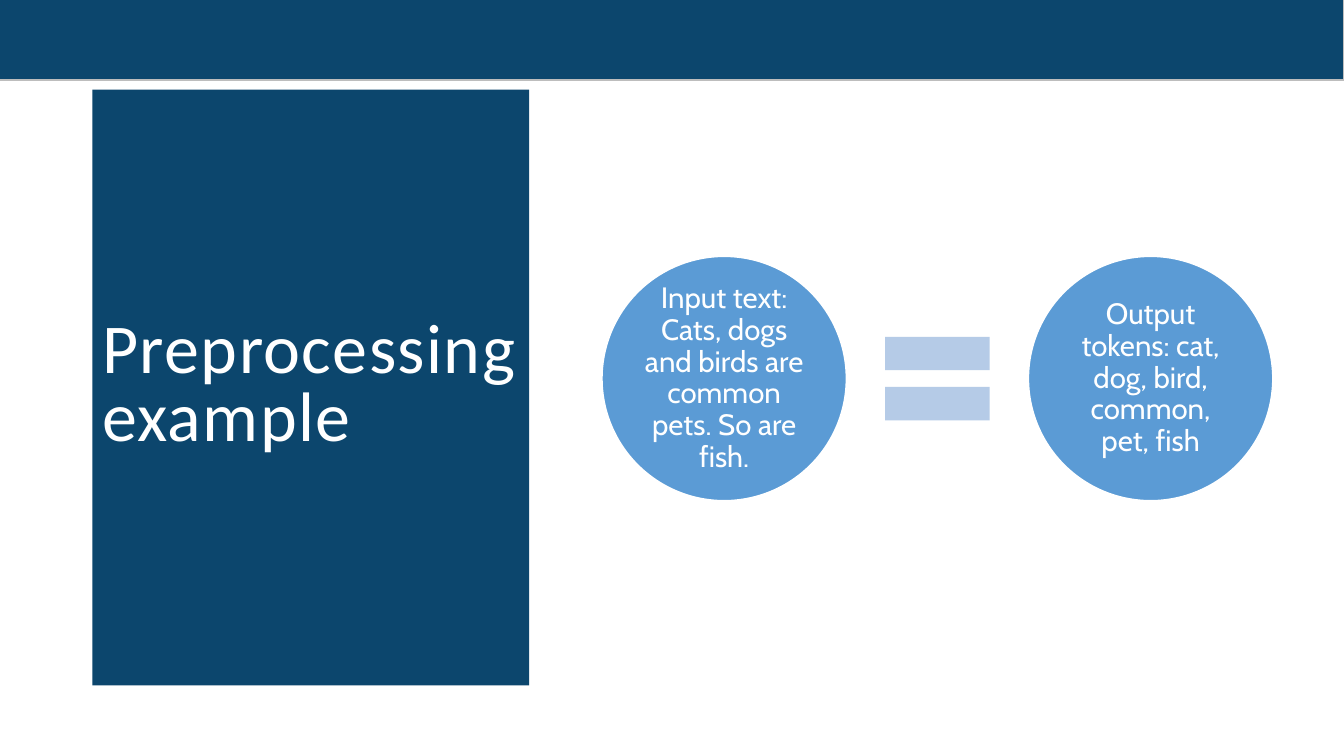
from dataclasses import dataclass

from pptx import Presentation
from pptx.dml.color import RGBColor
from pptx.enum.shapes import MSO_SHAPE
from pptx.enum.text import MSO_ANCHOR, MSO_AUTO_SIZE, PP_ALIGN
from pptx.shapes.autoshape import Shape
from pptx.slide import Slide
from pptx.util import Pt

COLORS = {
    "navy": "0C466D",
    "band_line": "BDBDBD",
    "circle": "5B9BD5",
    "equal": "B5CBE7",
    "white": "FFFFFF",
}
CIRCLE_SIZE = 175
EQUAL_SIZE = 101.5
CENTER_Y = 270.4


@dataclass
class Circle:
    left: float
    text: str


CIRCLES = [
    Circle(429.8, "Input text: Cats, dogs and birds are common pets. So are fish."),
    Circle(734.4, "Output tokens: cat, dog, bird, common, pet, fish"),
]


def color(name: str) -> RGBColor:
    return RGBColor.from_string(COLORS[name])


def add_shape(s: Slide, kind: MSO_SHAPE, left: float, top: float, width: float,
              height: float, fill: str, line: str = "", weight: float = 0) -> Shape:
    sp = s.shapes.add_shape(kind, Pt(left), Pt(top), Pt(width), Pt(height))
    sp.shadow.inherit = False
    sp.fill.solid()
    sp.fill.fore_color.rgb = color(fill)
    if line:
        sp.line.color.rgb = color(line)
        sp.line.width = Pt(weight)
    else:
        sp.line.fill.background()
    return sp


def add_text(sp: Shape, text: str, font: str, size: float, spacing: float,
             align: PP_ALIGN, tracking: float = 0) -> None:
    tf = sp.text_frame
    tf.word_wrap = True
    tf.auto_size = MSO_AUTO_SIZE.NONE
    tf.vertical_anchor = MSO_ANCHOR.MIDDLE
    p = tf.paragraphs[0]
    p.alignment = align
    p.line_spacing = spacing
    r = p.add_run()
    r.text = text
    r.font.name = font
    r.font.size = Pt(size)
    r.font.color.rgb = color("white")
    if tracking:
        r.font._element.set("spc", str(round(tracking * 100)))


def add_title(s: Slide, text: str) -> None:
    sp = s.shapes.title
    sp.left, sp.top, sp.width, sp.height = Pt(66), Pt(64), Pt(312), Pt(425.5)
    sp.fill.solid()
    sp.fill.fore_color.rgb = color("navy")
    add_text(sp, text, "Calibri", 50, 0.8, PP_ALIGN.LEFT, 1)


def add_circle(s: Slide, circle: Circle) -> None:
    sp = add_shape(s, MSO_SHAPE.OVAL, circle.left, CENTER_Y - CIRCLE_SIZE / 2,
                   CIRCLE_SIZE, CIRCLE_SIZE, "circle", "white", 1.5)
    tf = sp.text_frame
    tf.margin_left = tf.margin_right = tf.margin_top = tf.margin_bottom = Pt(2.1)
    add_text(sp, circle.text, "Cabin", 21, 0.9, PP_ALIGN.CENTER)


def main() -> None:
    prs = Presentation()
    prs.slide_width, prs.slide_height = Pt(960), Pt(540)
    s = prs.slides.add_slide(prs.slide_layouts[5])
    add_shape(s, MSO_SHAPE.RECTANGLE, -9.4, -0.7, 969.4, 58, "navy", "band_line", 1.25)
    add_title(s, "Preprocessing example")
    for circle in CIRCLES:
        add_circle(s, circle)
    middle = (CIRCLES[0].left + CIRCLES[1].left + CIRCLE_SIZE) / 2
    add_shape(s, MSO_SHAPE.MATH_EQUAL, middle - EQUAL_SIZE / 2,
              CENTER_Y - EQUAL_SIZE / 2, EQUAL_SIZE, EQUAL_SIZE, "equal")
    prs.save("out.pptx")


if __name__ == "__main__":
    main()
